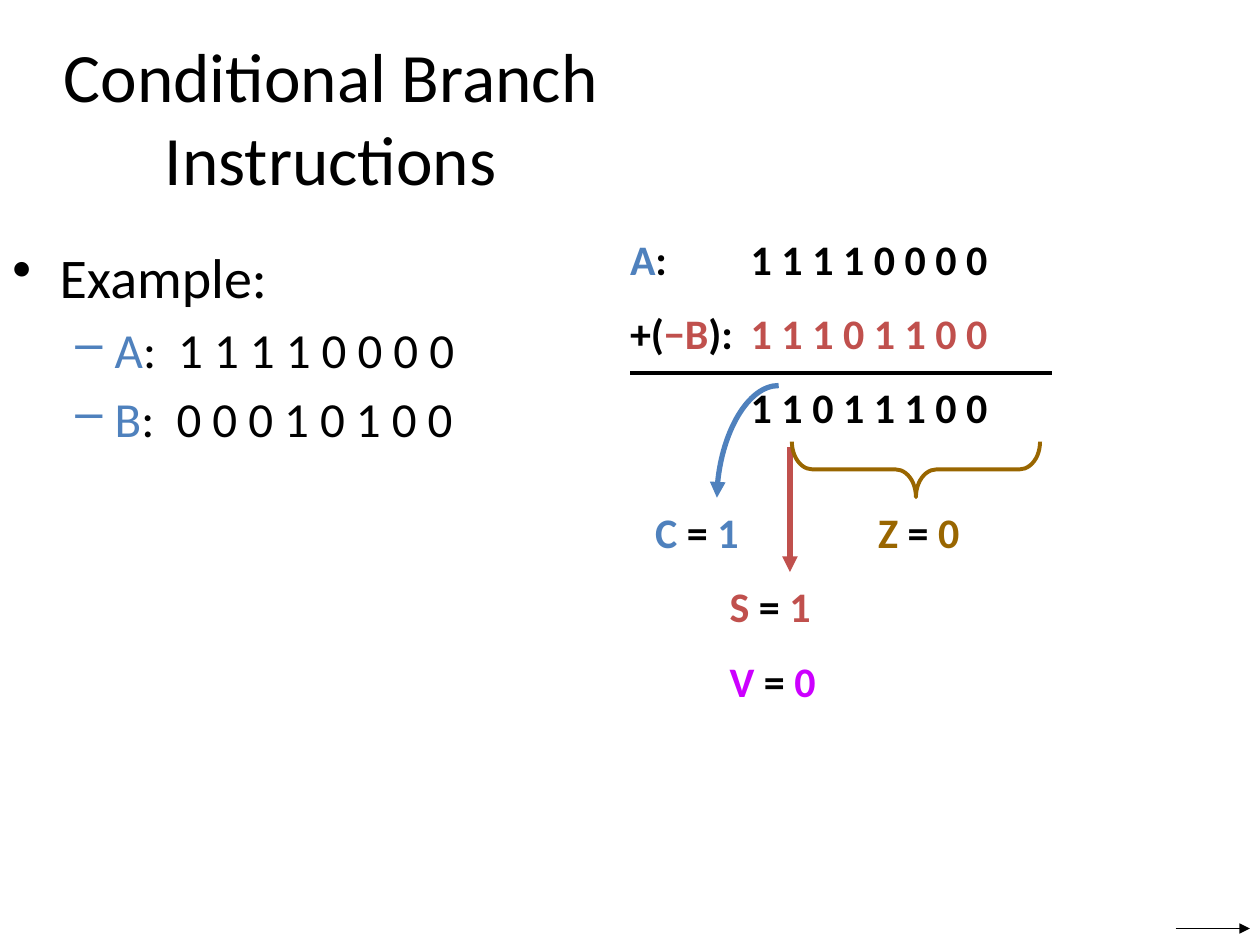
from dataclasses import dataclass

from lxml import etree
from pptx import Presentation
from pptx import util as u
from pptx.dml.color import RGBColor
from pptx.enum import shapes, text
from pptx.oxml.ns import qn


@dataclass(frozen=True)
class Theme:
    font: str = "Calibri"
    black: str = "000000"
    blue: str = "4F81BD"
    red: str = "C0504D"
    pink: str = "CC00FF"
    gold: str = "996600"
    head: float = 39.6
    item: float = 32
    sub: float = 28
    sum: float = 24


theme = Theme()
Pt = u.Pt
rgb = RGBColor.from_string
deck = Presentation()
deck.slide_width, deck.slide_height = Pt(720), Pt(540)
slide = deck.slides.add_slide(deck.slide_layouts[5])


def write(para, parts, size, bold=False):
    """Fill a paragraph with (wording, colour) runs."""
    para.font.name, para.font.size, para.font.bold = theme.font, Pt(size), bold
    for words, color in parts:
        run = para.add_run()
        run.text = words
        run.font.color.rgb = rgb(color)


def link(kind, ends, color, width, arrow=True):
    """Draw a connector through ends (x1, y1, x2, y2)."""
    line = slide.shapes.add_connector(kind, *map(Pt, ends))
    line.line.color.rgb = rgb(color)
    line.line.width = Pt(width)
    props = line._element.spPr
    if arrow:
        etree.SubElement(props.find(qn("a:ln")), qn("a:tailEnd"), type="triangle")
    etree.SubElement(props, qn("a:effectLst"))
    return line


# Title
title = slide.shapes.title
title.left, title.top, title.width, title.height = map(Pt, (0, 21.6, 378, 90))
frame = title.text_frame
frame.auto_size = text.MSO_AUTO_SIZE.NONE
frame.vertical_anchor = text.MSO_ANCHOR.MIDDLE
para = frame.paragraphs[0]
para.alignment = text.PP_ALIGN.CENTER
write(para, [("Conditional Branch Instructions", theme.black)], theme.head)

# Example operands: level, bullet, left margin, hanging indent, size, runs
items = [(0, "•", 27, 27, theme.item, [("Example:", theme.black)])]
for name, bits in (("A", "1 1 1 1 0 0 0 0"), ("B", "0 0 0 1 0 1 0 0")):
    runs = [(name, theme.blue), (":", theme.black), (" " + bits, theme.black)]
    items.append((1, "–", 58.5, 22.5, theme.sub, runs))

frame = slide.shapes.add_textbox(Pt(0), Pt(135), Pt(648), Pt(175)).text_frame
frame.word_wrap = True
for i, (level, mark, left, hang, size, runs) in enumerate(items):
    para = frame.add_paragraph() if i else frame.paragraphs[0]
    para.level = level
    para.space_before = Pt(size * 0.2)
    write(para, runs, size)
    props = para._p.get_or_add_pPr()
    props.set("marL", str(Pt(left)))
    props.set("indent", str(-Pt(hang)))
    bullet = etree.Element(qn("a:buChar"), char=mark)
    props.find(qn("a:defRPr")).addprevious(bullet)
    for run in para.runs:
        if run.text == ":":
            run._r.get_or_add_rPr().set("spc", "630")  # widen gap after colon

# Binary sum and status flags
top, row, wide, slim = 128.2, 42.5, 241.2, 70.6
black, red = theme.black, theme.red
labels = [
    (360, top, wide, [("A", theme.blue), (":\t1 1 1 1 0 0 0 0", black)]),
    (360, top + row, wide, [("+(", black), ("−B", red), ("):", black),
                            ("\t1 1 1 0 1 1 0 0", red)]),
    (360, top + 2 * row, wide, [("\t1 1 0 1 1 1 0 0", black)]),
]
flags = (
    ("C", "1", theme.blue, 374.4, 284.4),
    ("S", "1", red, 416.9, 326.9),
    ("V", "0", theme.pink, 416.9, 369.4),
    ("Z", "0", theme.gold, 501.8, 284.4),
)
for name, bit, color, x, y in flags:
    labels.append((x, y, slim, [(name, color), (" = ", black), (bit, color)]))

for x, y, width, runs in labels:
    frame = slide.shapes.add_textbox(Pt(x), Pt(y), Pt(width), Pt(row)).text_frame
    frame.word_wrap = True
    frame.vertical_anchor = text.MSO_ANCHOR.MIDDLE
    frame.margin_left = frame.margin_right = 0
    frame.margin_top = frame.margin_bottom = 0
    para = frame.paragraphs[0]
    para.line_spacing = 0.9
    para.space_before = Pt(theme.sum / 2)
    write(para, runs, theme.sum, bold=True)
    if width == wide:
        tabs = etree.Element(qn("a:tabLst"))
        etree.SubElement(tabs, qn("a:tab"), pos=str(Pt(69)), algn="l")
        para._p.pPr.find(qn("a:defRPr")).addprevious(tabs)

# Rule, flag arrows and next-page arrow
kind = shapes.MSO_CONNECTOR
link(kind.STRAIGHT, (360, 213.2, 601.2, 213.2), black, 2.25, arrow=False)
carry = link(kind.CURVE, (445, 220.3, 409.7, 284.4), theme.blue, 3)
carry._element.spPr.find(qn("a:prstGeom")).set("prst", "curvedConnector2")
link(kind.STRAIGHT, (451.4, 255.6, 451.4, 326.9), red, 3)
link(kind.STRAIGHT, (671.8, 530.6, 714.2, 530.6), black, 0.75)

# Brace under the result bits
brace = slide.shapes.add_shape(
    shapes.MSO_SHAPE.LEFT_BRACE, Pt(507.6), Pt(197.3), Pt(31.7), Pt(141.8))
brace.rotation = 270
brace.adjustments[0], brace.adjustments[1] = 0.37, 0.5
brace.shadow.inherit = False
brace.fill.background()
brace.line.color.rgb = rgb(theme.gold)
brace.line.width = Pt(2.25)

deck.save("out.pptx")
